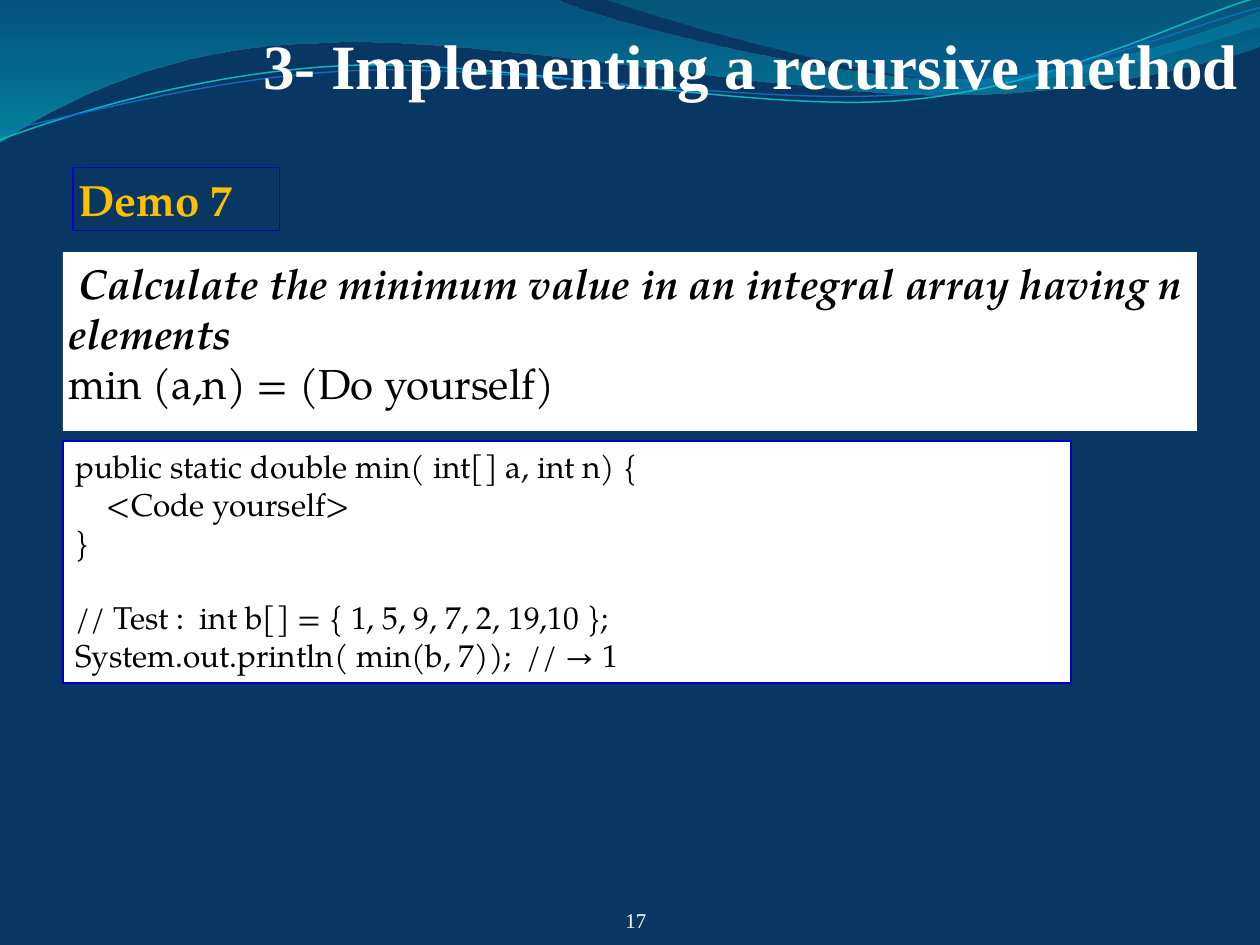
from lxml.etree import SubElement
from pptx import Presentation
from pptx.dml.color import RGBColor
from pptx.enum.shapes import MSO_SHAPE
from pptx.enum.text import MSO_ANCHOR, PP_ALIGN
from pptx.oxml.ns import qn
from pptx.util import Inches, Pt

NAVY = RGBColor(0x08, 0x37, 0x63)
WHITE = RGBColor(0xFF, 0xFF, 0xFF)
BLACK = RGBColor(0, 0, 0)
GOLD = RGBColor(0xFF, 0xC0, 0x00)
BORDER_BLUE = RGBColor(0x00, 0x00, 0xCC)
DEEP_TEAL = RGBColor(0x00, 0x74, 0xA1)
BRIGHT_TEAL = RGBColor(0x00, 0xC6, 0xCF)
SEA_GREEN = RGBColor(0x00, 0xA1, 0xA9)
SKY_BLUE = RGBColor(0x00, 0x8B, 0xBF)
LINE_TEAL = RGBColor(0x0A, 0xB8, 0xBF)
LINE_BLUE = RGBColor(0x0F, 0x6F, 0xC6)

SERIF = "TeX Gyre Pagella"
TIMES = "Times New Roman"
WIDTH, HEIGHT = 10, 7.5
UNITS = 1000  # outline units per inch

# Each wave: a start point, then lines (2 numbers) or Bezier curves (6 numbers)
LEFT_WAVE = [(0, 0), (4.4, -0.01), (4.76, 0.17, 6.64, 0.63, 7.58, 0.63),
             (8.53, 0.63, 9.58, 0.26, 10, 0.09), (10.01, 0.36),
             (9.83, 0.44, 8.7, 0.76, 7.46, 0.75),
             (6.22, 0.75, 3.82, 0.28, 2.57, 0.34),
             (1.29, 0.36, 0.46, 0.83, -0.01, 1.13)]
RIGHT_WAVE = [(4.79, -0.01), (5.09, 0.11, 6.82, 0.62, 7.69, 0.65),
              (8.56, 0.69, 9.61, 0.32, 10, 0.21), (10, 0)]
TEAL_CURVE = [(0, 1.11), (0.48, 0.93, 1.58, 0.57, 2.77, 0.52),
              (3.95, 0.47, 5.93, 0.89, 7.13, 0.8),
              (8.33, 0.71, 9.38, 0.15, 9.98, -0.02)]
BLUE_CURVE = [(0, 1.04), (0.47, 0.96, 1.64, 0.61, 2.83, 0.56),
              (4.03, 0.51, 5.97, 0.84, 7.17, 0.75),
              (8.36, 0.67, 9.41, 0.21, 10, 0.06)]


def bend_outline(shape, segments):
    """Join the three straight steps of each curve into one Bezier segment."""
    steps = iter(list(shape.element.iter(qn("a:lnTo"))))
    for segment in segments[1:]:
        first = next(steps)
        if len(segment) == 2:
            continue
        curve = first.makeelement(qn("a:cubicBezTo"))
        first.addprevious(curve)
        for step in (first, next(steps), next(steps)):
            curve.append(step[0])
            step.getparent().remove(step)


def add_wave(slide, left, top, segments, stops=None, line=None):
    """Draw a gradient wave, or an open curve when only a line is given."""
    points = [tuple(round(value * UNITS) for value in segment[start:start + 2])
              for segment in segments for start in range(0, len(segment), 2)]
    builder = slide.shapes.build_freeform(*points[0], scale=Inches(1) / UNITS)
    builder.add_line_segments(points[1:], close=stops is not None)
    shape = builder.convert_to_shape(Inches(left), Inches(top))
    bend_outline(shape, segments)
    shape.shadow.inherit = False
    paint_line(shape, line)
    if stops is None:
        shape.fill.background()
        return
    shape.fill.gradient()
    shape.fill.gradient_angle = 270
    for stop, (position, color, _) in zip(shape.fill.gradient_stops, stops):
        stop.position = position
        stop.color.rgb = color
    elements = shape.element.spPr.iter(qn("a:srgbClr"))
    for element, (_, _, opacity) in zip(elements, stops):
        SubElement(element, qn("a:alpha")).set("val", str(opacity * 1000))


def paint_line(shape, line):
    if line is None:
        shape.line.fill.background()
    else:
        shape.line.color.rgb, shape.line.width = line[0], Pt(line[1])


def add_text(slide, box, paragraphs, font, fill=None, line=None,
             insets=(0.04,) * 4, anchor=MSO_ANCHOR.TOP, align=PP_ALIGN.LEFT):
    """Fill a box with paragraphs of (text, extra font values, spacing values)."""
    shape = slide.shapes.add_shape(MSO_SHAPE.RECTANGLE, *map(Inches, box))
    shape.shadow.inherit = False
    paint_line(shape, line)
    if fill is None:
        shape.fill.background()
    else:
        shape.fill.solid()
        shape.fill.fore_color.rgb = fill
    frame = shape.text_frame
    frame.word_wrap, frame.vertical_anchor = True, anchor
    for side, inset in zip(("left", "top", "right", "bottom"), insets):
        setattr(frame, f"margin_{side}", Inches(inset))
    for index, (text, extra, spacing) in enumerate(paragraphs):
        paragraph = frame.add_paragraph() if index else frame.paragraphs[0]
        paragraph.alignment = align
        if "before" in spacing:
            paragraph.space_before = Pt(spacing["before"])
        if "indent" in spacing:
            properties = paragraph._p.get_or_add_pPr()
            properties.set("marL", str(Inches(spacing["indent"])))
        run = paragraph.add_run()
        run.text = text
        values = {**font, **extra}
        run.font.color.rgb = values.pop("color")
        for name, value in values.items():
            setattr(run.font, name, value)


def add_banner(slide, left, top):
    add_wave(slide, left, top, LEFT_WAVE, [(0, DEEP_TEAL, 45), (1, BRIGHT_TEAL, 55)])
    add_wave(slide, left, top, RIGHT_WAVE, [(0, SEA_GREEN, 30), (0.8, SKY_BLUE, 45)])
    add_wave(slide, left, top, TEAL_CURVE, line=(LINE_TEAL, 0.85))
    add_wave(slide, left, top, BLUE_CURVE, line=(LINE_BLUE, 0.75))


def add_exercise(slide, left, top, width):
    # Demo label
    add_text(slide, (left + 0.08, top, 1.64, 0.5), [("Demo 7", {}, {})],
             dict(name=SERIF, size=Pt(25), bold=True, color=GOLD),
             line=(BORDER_BLUE, 1), anchor=MSO_ANCHOR.MIDDLE)
    # Task
    task = " Calculate the minimum value in an integral array having n elements"
    add_text(slide, (left, top + 0.67, width, 1.42),
             [(task, dict(bold=True, italic=True), {}),
              ("min (a,n) = (Do yourself)", {}, {})],
             dict(name=SERIF, size=Pt(24), color=BLACK), fill=WHITE)
    # Code
    add_text(slide, (left, top + 2.17, width - 1, 1.92),
             [("public static double min( int[] a, int n) {", {}, {}),
              ("<Code yourself>", {}, dict(indent=0.25)),
              ("}", {}, {}),
              ("// Test :  int b[] = { 1, 5, 9, 7, 2, 19,10 };", {}, dict(before=21.6)),
              ("System.out.println( min(b, 7));  // \u2192 1", {}, {})],
             dict(name=SERIF, size=Pt(18), color=BLACK), fill=WHITE,
             line=(BORDER_BLUE, 0.75), insets=(0.1, 0.05, 0.1, 0.05))


def add_title(slide, box):
    add_text(slide, box, [("3- Implementing a recursive method", {}, {})],
             dict(name=TIMES, size=Pt(36), bold=True, color=WHITE),
             insets=(0, 0.04, 0, 0), anchor=MSO_ANCHOR.BOTTOM, align=PP_ALIGN.RIGHT)


def add_page_number(slide, box):
    add_text(slide, box, [("17", {}, {})], dict(name=TIMES, size=Pt(12), color=WHITE),
             insets=(0,) * 4, anchor=MSO_ANCHOR.BOTTOM, align=PP_ALIGN.RIGHT)


presentation = Presentation()
presentation.slide_width, presentation.slide_height = Inches(WIDTH), Inches(HEIGHT)
slide = presentation.slides.add_slide(presentation.slide_layouts[6])
slide.background.fill.solid()
slide.background.fill.fore_color.rgb = NAVY
add_banner(slide, 0, 0)
add_exercise(slide, 0.05 * WIDTH, 1.33, 0.9 * WIDTH)
add_page_number(slide, (4.85, 7.11, 0.28, 0.29))
add_title(slide, (0.05 * WIDTH, 0.08, 9.33, 0.73))
presentation.save("out.pptx")
